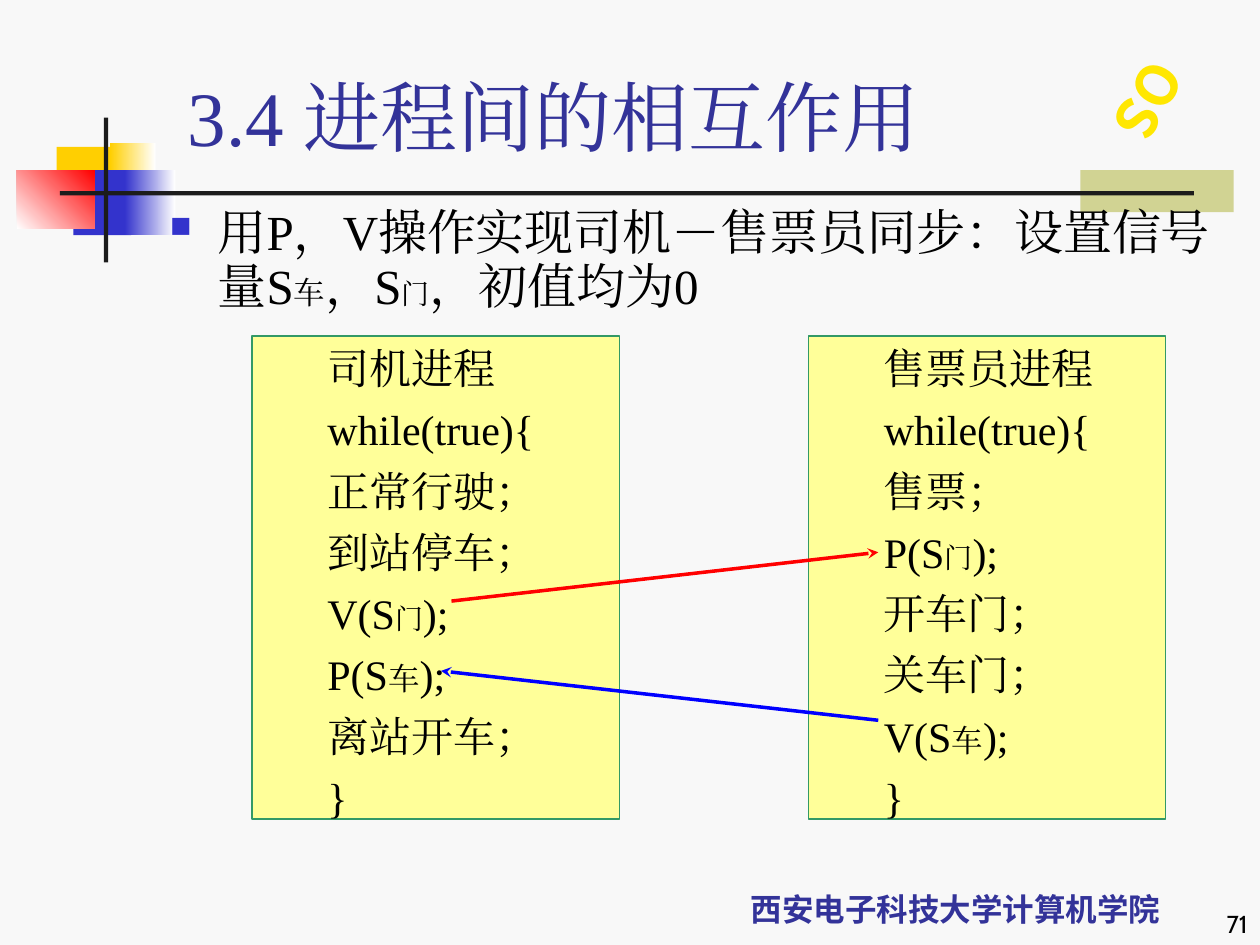
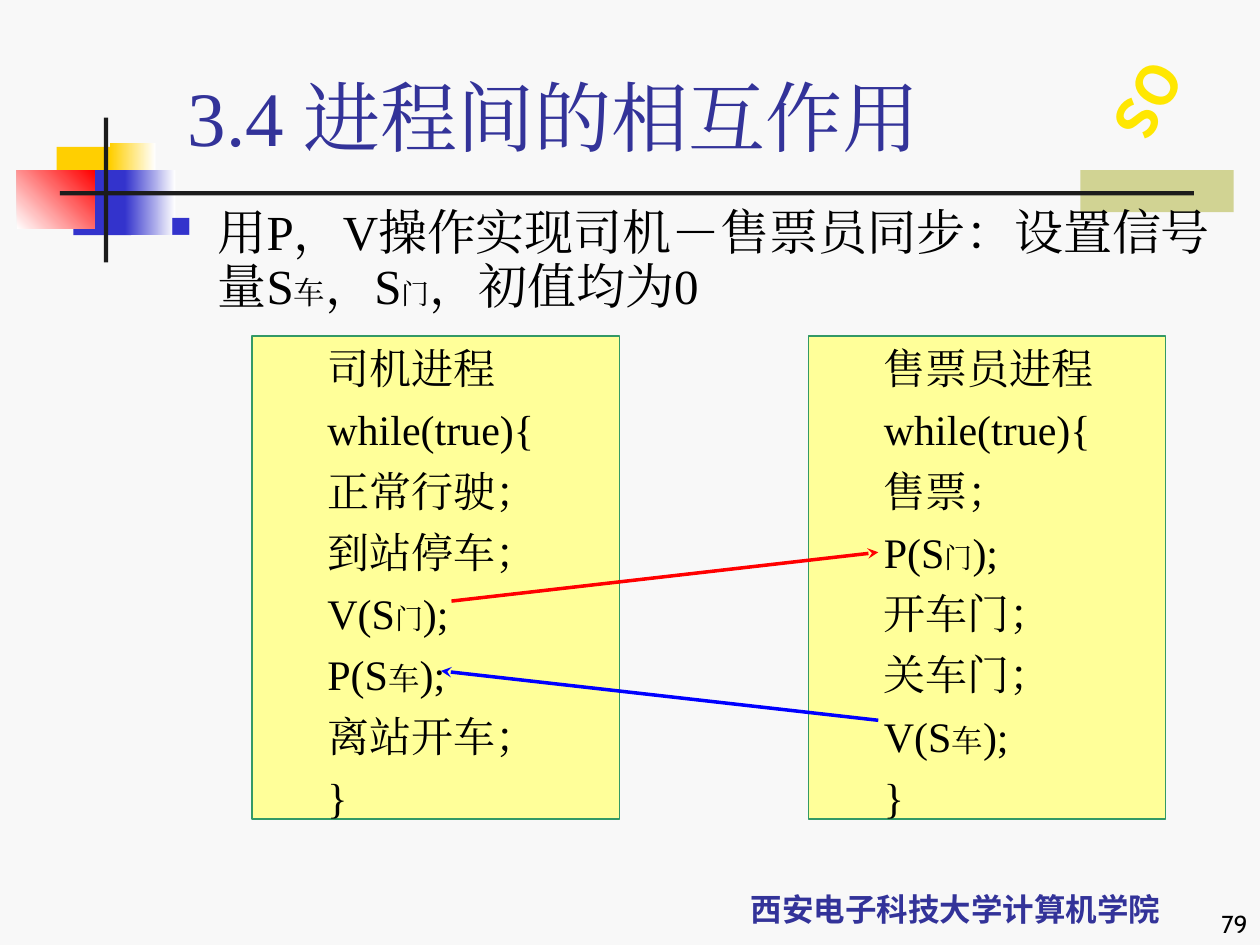
from lxml.etree import SubElement
from pptx import Presentation
from pptx.dml.color import RGBColor
from pptx.enum.shapes import MSO_CONNECTOR, MSO_SHAPE
from pptx.enum.text import MSO_ANCHOR, MSO_AUTO_SIZE, PP_ALIGN
from pptx.oxml.ns import qn
from pptx.util import Inches, Pt

BACKGROUND = RGBColor(0xF8, 0xF8, 0xF8)
OLIVE = RGBColor(0xD1, 0xD3, 0x93)
GOLD = RGBColor(0xFF, 0xCF, 0x01)
BLUE = RGBColor(0x33, 0x33, 0xCC)
RED = RGBColor(0xFF, 0x00, 0x00)
WHITE = RGBColor(0xFF, 0xFF, 0xFF)
CHARCOAL = RGBColor(0x1C, 0x1C, 0x1C)
NAVY = RGBColor(0x33, 0x33, 0x99)
YELLOW = RGBColor(0xFF, 0xE7, 0x01)
BLACK = RGBColor(0x00, 0x00, 0x00)
PANEL_FILL = RGBColor(0xFF, 0xFF, 0x99)
PANEL_LINE = RGBColor(0x33, 0x99, 0x66)
ARROW_BLUE = RGBColor(0x00, 0x00, 0xFF)

SERIF = "Times New Roman"
SANS = "Noto Sans CJK SC"
PAGE_FONT = "Cabin"

CELL = Inches(1) / 12
SUBSCRIPT_SIZES = {"门": 16, "车": 18}

TITLE = "3.4 进程间的相互作用"
SCHOOL = "西安电子科技大学计算机学院"
STATEMENT = ("用P，V操作实现司机－售票员同步：设置信号量S", "车", "，S", "门", "，初值均为0")
DRIVER = [("司机进程",), ("while(true){",), ("正常行驶；",), ("到站停车；",),
          ("V(S", "门", ");"), ("P(S", "车", ");"), ("离站开车；",), ("}",)]
CONDUCTOR = [("售票员进程",), ("while(true){",), ("售票；",), ("P(S", "门", ");"),
             ("开车门；",), ("关车门；",), ("V(S", "车", ");"), ("}",)]
PAGES = (71, 79)


def grid(*cells):
    """Turn grid columns and rows into lengths."""
    return [round(cell * CELL) for cell in cells]


def inside(box, left, top, width, height):
    """Shift a box given relative to an outer box onto the slide grid."""
    return box[0] + left, box[1] + top, width, height


def format_run(run, size, font_name, color, bold=False):
    """Give a run its font, for Latin and Chinese letters alike."""
    run.font.size = Pt(size)
    run.font.bold = bold
    run.font.color.rgb = color
    run.font.name = font_name
    SubElement(run._r.get_or_add_rPr(), qn("a:ea"), typeface=font_name)


def add_pieces(paragraph, pieces, size):
    """Write pieces of text as runs, with semaphore names set small."""
    for piece in pieces:
        run = paragraph.add_run()
        run.text = piece
        format_run(run, SUBSCRIPT_SIZES.get(piece, size), SERIF, BLACK)


def set_indent(paragraph, margin, hanging):
    """Set the left margin and hanging first line in inches."""
    properties = paragraph._p.get_or_add_pPr()
    properties.set("marL", str(Inches(margin)))
    properties.set("indent", str(-Inches(hanging)))
    return properties


def add_label(slide, box, text, size, font_name, color, alignment, bold=False):
    """Add one line of text at the bottom of a box."""
    label = slide.shapes.add_textbox(*grid(*box))
    frame = label.text_frame
    frame.word_wrap = True
    frame.vertical_anchor = MSO_ANCHOR.BOTTOM
    frame.text = text
    paragraph = frame.paragraphs[0]
    paragraph.alignment = alignment
    format_run(paragraph.runs[0], size, font_name, color, bold)
    return label


def add_block(slide, box, *colors, angle=0):
    """Add a rectangle filled with one colour or a two-colour gradient."""
    block = slide.shapes.add_shape(MSO_SHAPE.RECTANGLE, *grid(*box))
    block.shadow.inherit = False
    block.line.fill.background()
    if len(colors) == 1:
        block.fill.solid()
        block.fill.fore_color.rgb = colors[0]
    else:
        block.fill.gradient()
        block.fill.gradient_angle = angle
        for stop, color in zip(block.fill.gradient_stops, colors):
            stop.color.rgb = color
    return block


def draw_ornament(slide, box):
    """Draw the coloured blocks and the crossing bars beside the title."""
    add_block(slide, inside(box, 101.3, 5, 14.6, 4), OLIVE)
    add_block(slide, inside(box, 3.8, 2.8, 5.8, 6.2), GOLD)
    add_block(slide, inside(box, 8.9, 2.4, 4.3, 6.2), GOLD, WHITE)
    add_block(slide, inside(box, 5.4, 5, 5.5, 6.2), BLUE)
    add_block(slide, inside(box, 10.3, 5, 4.8, 6.2), BLUE, WHITE)
    add_block(slide, inside(box, 0, 5, 7.4, 5.6), WHITE, RED, angle=45)
    add_block(slide, inside(box, 8.3, 0, 0.4, 13.8), CHARCOAL)
    add_block(slide, inside(box, 4.1, 7, 108, 0.4), CHARCOAL)


def draw_badge(slide, box):
    """Add the tilted vertical course mark."""
    badge = add_label(slide, box, "OS", 32, SANS, YELLOW, PP_ALIGN.CENTER, True)
    badge.rotation = 29.3
    frame = badge.text_frame
    frame.word_wrap = False
    frame.vertical_anchor = MSO_ANCHOR.MIDDLE
    frame.margin_left = frame.margin_right = Inches(0.05)
    frame.margin_top = frame.margin_bottom = Inches(0.1)
    frame._txBody.bodyPr.set("vert", "eaVert")


def draw_title(slide, box):
    """Place and format the title placeholder."""
    title = slide.shapes.title
    title.left, title.top, title.width, title.height = grid(*box)
    frame = title.text_frame
    frame.text = TITLE
    frame.auto_size = MSO_AUTO_SIZE.NONE
    frame.vertical_anchor = MSO_ANCHOR.BOTTOM
    paragraph = frame.paragraphs[0]
    paragraph.alignment = PP_ALIGN.LEFT
    format_run(paragraph.runs[0], 44, SERIF, NAVY)


def draw_statement(slide, box):
    """Add the bulleted statement of the problem."""
    frame = slide.shapes.add_textbox(*grid(*box)).text_frame
    frame.word_wrap = True
    paragraph = frame.paragraphs[0]
    paragraph.line_spacing = Pt(31)
    properties = set_indent(paragraph, 0.38, 0.38)
    bullet_color = SubElement(properties, qn("a:buClr"))
    SubElement(bullet_color, qn("a:srgbClr"), val=str(BLUE))
    SubElement(properties, qn("a:buSzPct"), val="60000")
    SubElement(properties, qn("a:buChar"), char="■")
    add_pieces(paragraph, STATEMENT, 28)


def draw_process(slide, box, lines):
    """Draw one process as a panel of code lines."""
    panel = add_block(slide, box, PANEL_FILL)
    panel.line.color.rgb = PANEL_LINE
    panel.line.width = Pt(0.75)
    frame = panel.text_frame
    frame.word_wrap = True
    frame.vertical_anchor = MSO_ANCHOR.TOP
    for index, pieces in enumerate(lines):
        paragraph = frame.add_paragraph() if index else frame.paragraphs[0]
        paragraph.alignment = PP_ALIGN.LEFT
        paragraph.line_spacing = Pt(29)
        paragraph.space_before = Pt(6 if index else 0)
        set_indent(paragraph, 0.81, 0.31)
        add_pieces(paragraph, pieces, 24)


def draw_signal(slide, start, end, color):
    """Draw an arrow from a V operation to the P operation it wakes."""
    arrow = slide.shapes.add_connector(MSO_CONNECTOR.STRAIGHT, *grid(*start, *end))
    arrow.line.color.rgb = color
    arrow.line.width = Pt(2)
    SubElement(arrow.line._get_or_add_ln(), qn("a:tailEnd"), type="stealth")
    SubElement(arrow._element.spPr, qn("a:effectLst"))


def draw_synchronization(slide, box):
    """Draw both processes and the signals between them."""
    left, top, width, height = box
    draw_process(slide, (left, top, 35, height), DRIVER)
    draw_process(slide, (left + width - 34, top, 34, height), CONDUCTOR)
    conductor_edge = left + 59.65
    draw_signal(slide, (left + 19, top + 25.25), (conductor_edge, top + 20.6), RED)
    draw_signal(slide, (conductor_edge, top + 36.6), (left + 18, top + 31.9), ARROW_BLUE)


def add_process_slide(presentation, page):
    """Add one slide showing the driver and conductor processes."""
    slide = presentation.slides.add_slide(presentation.slide_layouts[5])
    draw_ornament(slide, (1.6, 11.2, 116, 14))
    add_label(slide, (64, 82, 54, 7), SCHOOL, 18, SANS, NAVY, PP_ALIGN.CENTER, True)
    draw_badge(slide, (105.1, 4.8, 9.5, 8.5))
    add_label(slide, (95, 84, 25, 6), str(page), 14, PAGE_FONT, BLACK, PP_ALIGN.RIGHT)
    draw_title(slide, (16.7, 6, 102.2, 10))
    draw_statement(slide, (15, 19, 102, 12))
    draw_synchronization(slide, (24, 32, 87, 46))


def main():
    """Build and save the presentation."""
    presentation = Presentation()
    presentation.slide_width, presentation.slide_height = grid(120, 90)
    background = presentation.slide_master.background.fill
    background.solid()
    background.fore_color.rgb = BACKGROUND
    for page in PAGES:
        add_process_slide(presentation, page)
    presentation.save("out.pptx")


if __name__ == "__main__":
    main()
